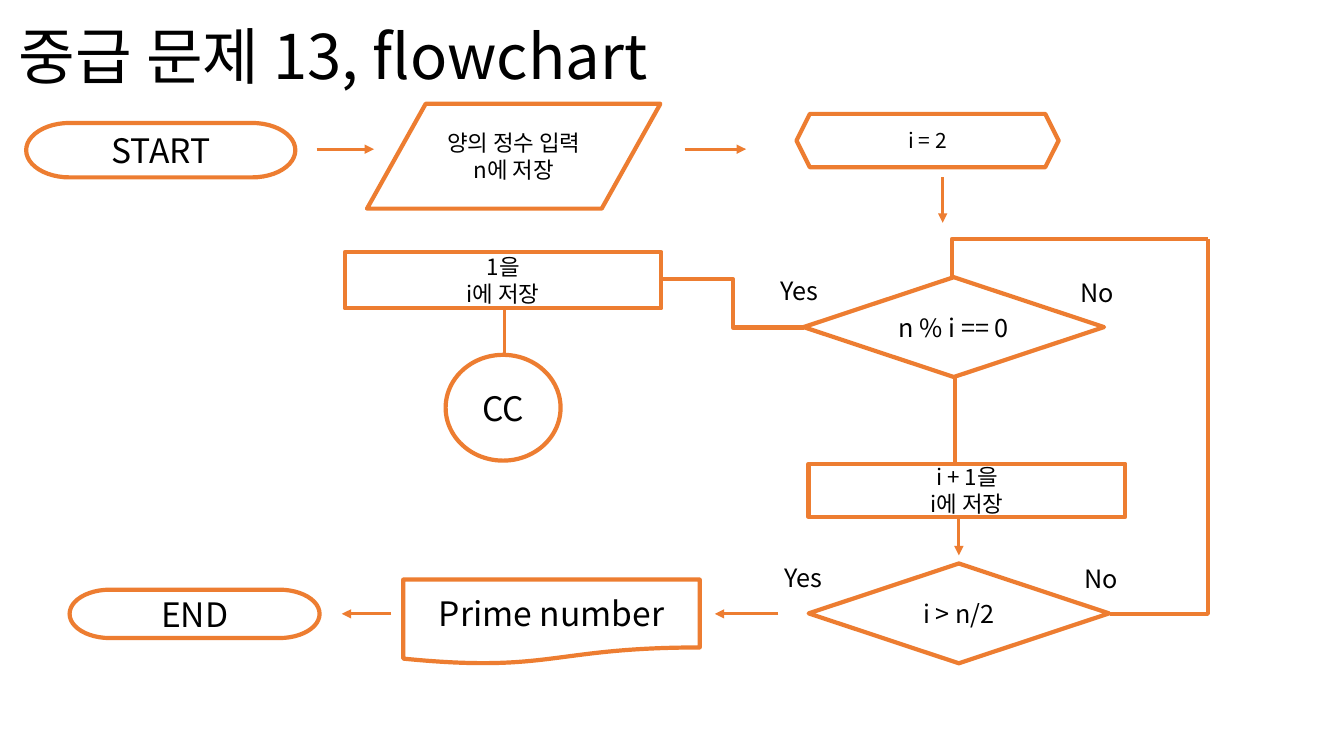
from dataclasses import dataclass

from lxml import etree
from pptx import Presentation
from pptx import util as u
from pptx.dml.color import RGBColor
from pptx.enum import shapes, text
from pptx.oxml.ns import qn

FONT = "Noto Sans CJK KR"
ORANGE, WHITE, BLACK = "ED7D31", "FFFFFF", "000000"
SHAPE = shapes.MSO_SHAPE
Point = tuple[float, float]


@dataclass
class Step:
    kind: shapes.MSO_SHAPE
    left: float
    top: float
    width: float
    height: float
    lines: tuple[str, ...]
    size: int


@dataclass
class Branch:
    answer: str
    left: float
    top: float
    width: float


@dataclass
class Flow:
    start: Point
    end: Point
    arrow: bool = False
    bend: str = ""
    adjust: int = 50000


STEPS = [
    Step(SHAPE.FLOWCHART_TERMINATOR, 0.26, 1.22, 2.67, 0.54, ("START",), 24),
    Step(SHAPE.HEXAGON, 7.9, 1.13, 2.6, 0.53, ("i = 2",), 15),
    Step(SHAPE.FLOWCHART_DATA, 3.64, 1.03, 2.91, 1.04, ("양의 정수 입력", "n에 저장"), 16),
    Step(SHAPE.RECTANGLE, 3.42, 2.5, 3.14, 0.56, ("1을", "i에 저장"), 16),
    Step(SHAPE.RECTANGLE, 8.02, 4.6, 3.14, 0.53, ("i + 1을", "i에 저장"), 16),
    Step(SHAPE.FLOWCHART_DECISION, 7.97, 2.75, 2.98, 0.99, ("n % i == 0",), 18),
    Step(SHAPE.FLOWCHART_DECISION, 8.02, 5.59, 2.98, 0.99, ("i > n/2",), 18),
    Step(SHAPE.OVAL, 4.42, 3.52, 1.14, 1.05, ("CC",), 24),
    Step(SHAPE.FLOWCHART_DOCUMENT, 4, 5.75, 2.94, 0.84, ("Prime number",), 24),
    Step(SHAPE.FLOWCHART_TERMINATOR, 0.69, 5.85, 2.48, 0.48, ("END",), 24),
]

BRANCHES = [
    Branch("Yes", 7.64, 2.68, 0.7),
    Branch("No", 10.62, 2.7, 0.67),
    Branch("Yes", 7.68, 5.53, 0.7),
    Branch("No", 10.66, 5.54, 0.67),
]

FLOWS = [
    Flow((3.14, 1.48), (3.71, 1.48), arrow=True),
    Flow((6.79, 1.48), (7.4, 1.48), arrow=True),
    Flow((9.35, 1.76), (9.35, 2.21), arrow=True),
    Flow((5, 3.05), (5, 3.62), arrow=True),
    Flow((9.51, 5.13), (9.51, 5.51), arrow=True),
    Flow((7.72, 6.09), (7.09, 6.09), arrow=True),
    Flow((3.88, 6.09), (3.39, 6.09), arrow=True),
    Flow((9.47, 3.75), (9.47, 4.62)),
    Flow((6.57, 2.77), (7.97, 3.25), bend="bentConnector3"),
    Flow((11.01, 6.09), (11.98, 2.37), bend="bentConnector2"),
    Flow((11.98, 2.37), (9.35, 2.88), bend="bentConnector3", adjust=96500),
]


def color(value: str) -> RGBColor:
    return RGBColor.from_string(value)


def write(frame, lines: tuple[str, ...], size: int, align=text.PP_ALIGN.LEFT,
          spacing: float = 1.0) -> None:
    for index, line in enumerate(lines):
        paragraph = frame.paragraphs[0] if index == 0 else frame.add_paragraph()
        paragraph.alignment = align
        paragraph.line_spacing = spacing
        run = paragraph.add_run()
        run.text = line
        run.font.size = u.Pt(size)
        run.font.name = FONT
        run.font.color.rgb = color(BLACK)
        east_asian = etree.SubElement(run.font._element, qn("a:ea"))
        east_asian.set("typeface", FONT)


def draw_title(slide, heading: str) -> None:
    title = slide.shapes.add_textbox(
        u.Inches(0.09), u.Inches(-0.13), u.Inches(11.5), u.Inches(1.45))
    title.text_frame.word_wrap = True
    title.text_frame.vertical_anchor = text.MSO_ANCHOR.MIDDLE
    write(title.text_frame, (heading,), 44, spacing=0.9)


def draw_flow(slide, flow: Flow) -> None:
    kind = shapes.MSO_CONNECTOR.ELBOW if flow.bend else shapes.MSO_CONNECTOR.STRAIGHT
    ends = [u.Inches(value) for value in (*flow.start, *flow.end)]
    connector = slide.shapes.add_connector(kind, *ends)
    connector.line.color.rgb = color(ORANGE)
    connector.line.width = u.Pt(2.25 if flow.arrow else 3)
    properties = connector._element.spPr
    if flow.arrow:
        head = etree.SubElement(properties.find(qn("a:ln")), qn("a:tailEnd"))
        head.set("type", "triangle")
    if flow.bend:
        properties.find(qn("a:prstGeom")).set("prst", flow.bend)
    if flow.bend == "bentConnector3":
        guide = etree.SubElement(properties.find(".//" + qn("a:avLst")), qn("a:gd"))
        guide.set("name", "adj1")
        guide.set("fmla", f"val {flow.adjust}")
    etree.SubElement(properties, qn("a:effectLst"))


def draw_step(slide, step: Step) -> None:
    box = slide.shapes.add_shape(
        step.kind, u.Inches(step.left), u.Inches(step.top),
        u.Inches(step.width), u.Inches(step.height))
    box.shadow.inherit = False
    box.fill.solid()
    box.fill.fore_color.rgb = color(WHITE)
    box.line.color.rgb = color(ORANGE)
    box.line.width = u.Pt(3)
    box.text_frame.word_wrap = True
    box.text_frame.vertical_anchor = text.MSO_ANCHOR.MIDDLE
    write(box.text_frame, step.lines, step.size, text.PP_ALIGN.CENTER)


def draw_branch(slide, branch: Branch) -> None:
    label = slide.shapes.add_textbox(
        u.Inches(branch.left), u.Inches(branch.top),
        u.Inches(branch.width), u.Inches(0.4))
    label.fill.solid()
    label.fill.fore_color.rgb = color(WHITE)
    label.text_frame.word_wrap = True
    write(label.text_frame, (branch.answer,), 18)


def main() -> None:
    deck = Presentation()
    deck.slide_width, deck.slide_height = u.Inches(13.33), u.Inches(7.5)
    slide = deck.slides.add_slide(deck.slide_layouts[6])
    draw_title(slide, "중급 문제 13, flowchart")
    for flow in FLOWS:
        draw_flow(slide, flow)
    for step in STEPS:
        draw_step(slide, step)
    for branch in BRANCHES:
        draw_branch(slide, branch)
    deck.save("out.pptx")


if __name__ == "__main__":
    main()
